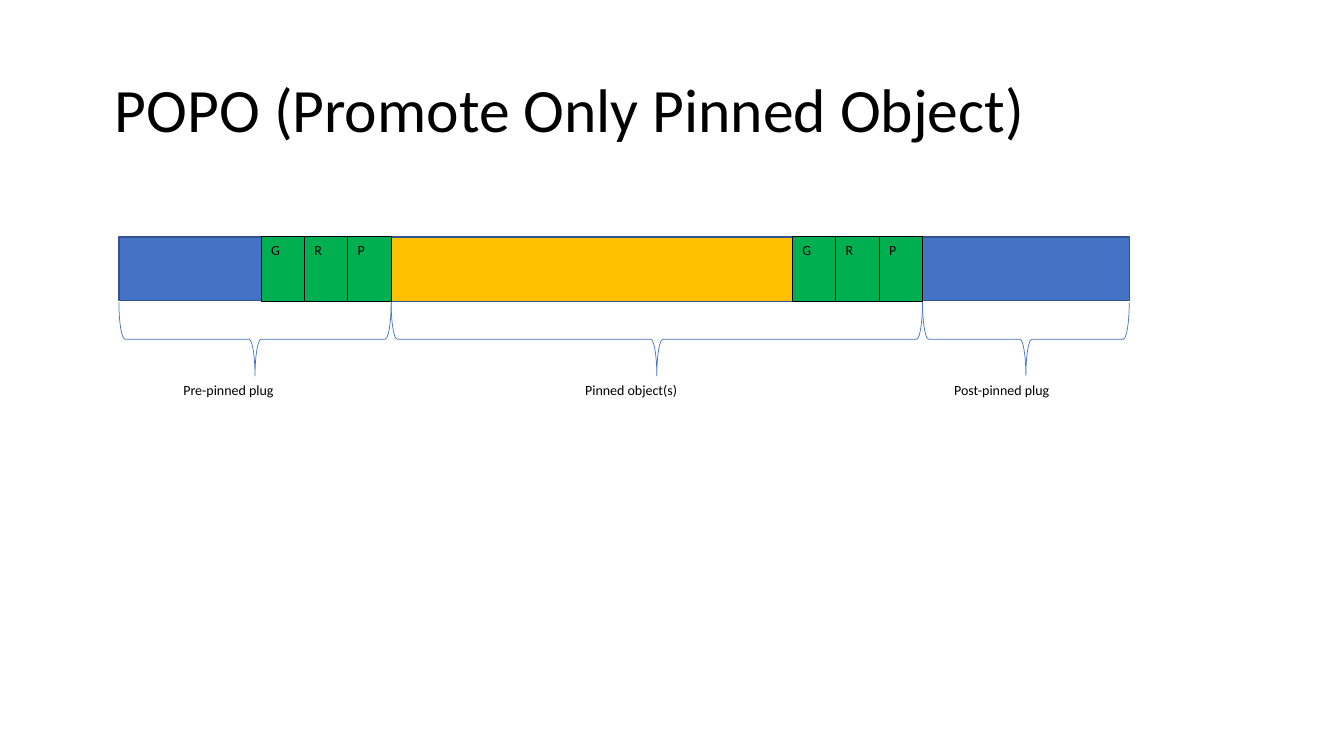
from pptx import Presentation
from pptx.dml.color import RGBColor
from pptx.enum.shapes import MSO_SHAPE
from pptx.enum.text import MSO_ANCHOR, MSO_AUTO_SIZE, PP_ALIGN
from pptx.util import Inches, Pt

RECT, BRACE = MSO_SHAPE.RECTANGLE, MSO_SHAPE.LEFT_BRACE
TOP, MIDDLE = MSO_ANCHOR.TOP, MSO_ANCHOR.MIDDLE
LEFT = PP_ALIGN.LEFT
NO_FIT = MSO_AUTO_SIZE.NONE

BLACK = RGBColor(0x00, 0x00, 0x00)
BLUE = RGBColor(0x44, 0x72, 0xC4)
NAVY = RGBColor(0x32, 0x54, 0x91)
GOLD = RGBColor(0xFF, 0xC0, 0x00)
GREEN = RGBColor(0x00, 0xB0, 0x50)

FONT = "Calibri"
CELL_W = 0.43
BAR_H = 0.64
BRACE_H = 0.73
LABEL_W, LABEL_H = 1.72, 1.04
LABEL_SHIFT = 0.81  # from the brace's centre to the label's left edge


def set_text(shape, text, size, anchor=TOP):
    tf = shape.text_frame
    tf.text = text
    tf.word_wrap = True
    tf.auto_size = NO_FIT
    tf.vertical_anchor = anchor
    p = tf.paragraphs[0]
    p.alignment = LEFT
    font = p.runs[0].font
    font.name, font.size, font.color.rgb = FONT, Pt(size), BLACK
    return p


def add_title(s, text, left, top, width, height):
    title = s.shapes.title
    title.left, title.top = Inches(left), Inches(top)
    title.width, title.height = Inches(width), Inches(height)
    set_text(title, text, 44, MIDDLE).line_spacing = 0.9


def add_block(shapes, left, top, width, height, fill, line, weight):
    sp = shapes.add_shape(RECT, Inches(left), Inches(top), Inches(width), Inches(height))
    sp.shadow.inherit = False
    sp.fill.solid()
    sp.fill.fore_color.rgb = fill
    sp.line.color.rgb = line
    sp.line.width = Pt(weight)
    return sp


def add_plug_cells(shapes, right, top):
    """Place the G, R and P cells so that the last one ends at right."""
    letters = "GRP"
    left = right - CELL_W * len(letters)
    for i, letter in enumerate(letters):
        cell = add_block(shapes, left + i * CELL_W, top, CELL_W, BAR_H, GREEN, BLACK, 0.75)
        set_text(cell, letter, 10)


def add_braced_label(shapes, text, left, right, top):
    """Draw a downward brace from left to right with its label below."""
    span, centre = right - left, (left + right) / 2
    # The brace is laid out upright around its centre, then turned.
    brace = shapes.add_shape(BRACE, Inches(centre - BRACE_H / 2),
                             Inches(top + (BRACE_H - span) / 2),
                             Inches(BRACE_H), Inches(span))
    brace.rotation = 270
    brace.shadow.inherit = False
    brace.fill.background()
    brace.line.color.rgb = BLUE
    brace.line.width = Pt(0.5)
    label = shapes.add_textbox(Inches(centre - LABEL_SHIFT), Inches(top + BRACE_H + 0.01),
                               Inches(LABEL_W), Inches(LABEL_H))
    set_text(label, text, 10)


def add_memory_diagram(s, left, top, width, pinned_left, pinned_right):
    shapes = s.shapes.add_group_shape().shapes
    right = left + width
    add_block(shapes, left, top, width, BAR_H - 0.01, BLUE, NAVY, 1)
    add_block(shapes, pinned_left, top, pinned_right - pinned_left, BAR_H, GOLD, NAVY, 1)
    for plug_right in (pinned_left, pinned_right):
        add_plug_cells(shapes, plug_right, top)
    sections = [
        ("Pre-pinned plug", left, pinned_left),
        ("Pinned object(s)", pinned_left, pinned_right),
        ("Post-pinned plug", pinned_right, right),
    ]
    for text, start, end in sections:
        add_braced_label(shapes, text, start, end, top + BAR_H + 0.01)


def main():
    prs = Presentation()
    prs.slide_width, prs.slide_height = Inches(13.33), Inches(7.5)
    s = prs.slides.add_slide(prs.slide_layouts[5])
    add_title(s, "POPO (Promote Only Pinned Object)", 1.04, 0.39, 11.5, 1.45)
    add_memory_diagram(s, 1.18, 2.35, 10.02, 3.88, 9.15)
    prs.save("out.pptx")


if __name__ == "__main__":
    main()
